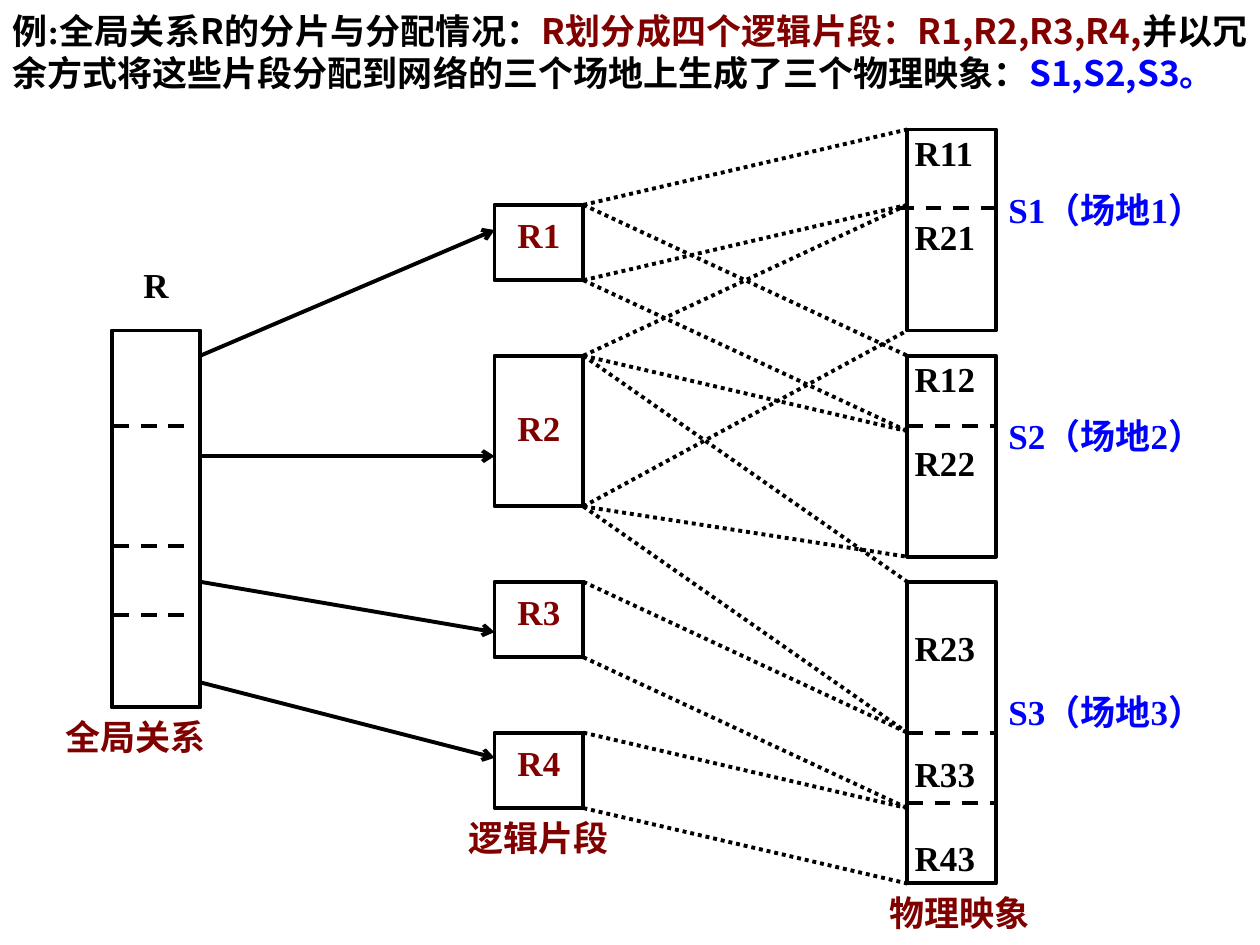
from pptx import Presentation
from pptx.dml.color import RGBColor
from pptx.enum.dml import MSO_LINE
from pptx.enum.shapes import MSO_CONNECTOR, MSO_SHAPE
from pptx.enum.text import MSO_ANCHOR, PP_ALIGN
from pptx.oxml.ns import qn
from pptx.util import Cm, Pt
from lxml.etree import SubElement

SERIF, SANS = "Times New Roman", "Noto Sans CJK SC"
BLACK, RED, BLUE = "000000", "800000", "0000FF"
CENTER, JUSTIFY = PP_ALIGN.CENTER, PP_ALIGN.JUSTIFY
LINE_HEIGHT = 24
COLUMN_WIDTH = 1.79
RELATION_X, FRAGMENT_X, SITE_X = 2.25, 9.97, 18.29


def row_y(row):
    """Height in cm of a row on the 30-row diagram grid."""
    return 2.61 + row * 15.2 / 30


def add_span(para, text, color, font_name=SERIF):
    span = para.add_run()
    span.text = text
    formats = {"size": Pt(20), "bold": True, "name": font_name}
    for name, value in formats.items():
        setattr(span.font, name, value)
    span.font.color.rgb = RGBColor.from_string(color)
    east_asian = SubElement(span.font._element, qn("a:ea"))
    east_asian.set("typeface", SANS)


deck = Presentation()
deck.slide_width, deck.slide_height = Cm(25.4), Cm(19.05)
page = deck.slides.add_slide(deck.slide_layouts[6])

# Heading
heading = page.shapes.add_textbox(0, 0, Cm(25.4), Cm(2.8))
heading.text_frame.word_wrap = True
heading.text_frame.margin_top = Cm(0.2)
para = heading.text_frame.paragraphs[0]
para.alignment = JUSTIFY
para.line_spacing = Pt(LINE_HEIGHT)
for text, color, font_name in [
    ("例:全局关系", BLACK, SERIF),
    ("R", BLACK, SANS),
    ("的分片与分配情况：", BLACK, SERIF),
    ("R", RED, SANS),
    ("划分成四个逻辑片段：", RED, SERIF),
    ("R1,R2,R3,R4,", RED, SANS),
    ("并以冗余方式将这些片段分配到网络的三个场地上生成了三个物理映象：", BLACK, SERIF),
    ("S1,S2,S3", BLUE, SANS),
    ("。", BLUE, SERIF),
]:
    add_span(para, text, color, font_name)

# Outlined boxes: left, row, rows, side margin, top margin, alignment,
# colour, texts with the number of free lines above each
boxes = [
    (RELATION_X, 8, 15, 0.25, 0.17, CENTER, BLACK, []),
    (FRAGMENT_X, 3, 3, 0.25, 0.17, CENTER, RED, [("R1", 0)]),
    (FRAGMENT_X, 9, 6, 0.25, 1.02, CENTER, RED, [("R2", 0)]),
    (FRAGMENT_X, 18, 3, 0.25, 0.17, CENTER, RED, [("R3", 0)]),
    (FRAGMENT_X, 24, 3, 0.25, 0.17, CENTER, RED, [("R4", 0)]),
    (SITE_X, 0, 8, 0.15, 0.04, JUSTIFY, BLACK, [("R11", 0), ("R21", 1)]),
    (SITE_X, 9, 8, 0.15, 0.04, JUSTIFY, BLACK, [("R12", 0), ("R22", 1)]),
    (SITE_X, 18, 12, 0.15, 0.89, JUSTIFY, BLACK,
     [("R23", 0), ("R33", 2), ("R43", 1)]),
]
for left, row, rows, side, top, alignment, color, texts in boxes:
    box = page.shapes.add_shape(
        MSO_SHAPE.RECTANGLE, Cm(left), Cm(row_y(row)),
        Cm(COLUMN_WIDTH), Cm(row_y(row + rows) - row_y(row)))
    box.shadow.inherit = False
    box.fill.background()
    box.line.color.rgb = RGBColor.from_string(BLACK)
    box.line.width = Pt(2.25)
    frame = box.text_frame
    formats = {"word_wrap": True, "vertical_anchor": MSO_ANCHOR.TOP,
               "margin_left": Cm(side), "margin_right": Cm(side),
               "margin_top": Cm(top), "margin_bottom": 0}
    for name, value in formats.items():
        setattr(frame, name, value)
    for index, (text, free_lines) in enumerate(texts):
        para = frame.add_paragraph() if index else frame.paragraphs[0]
        para.alignment = alignment
        para.line_spacing = Pt(LINE_HEIGHT)
        if free_lines:
            para.space_before = Pt(free_lines * LINE_HEIGHT)
        add_span(para, text, color)

# Free labels: left, row, width, alignment, colour, text
labels = [
    (RELATION_X, 5, COLUMN_WIDTH, CENTER, BLACK, "R"),
    (20.08, 2, 5.32, JUSTIFY, BLUE, "S1（场地1）"),
    (20.08, 11, 5.32, JUSTIFY, BLUE, "S2（场地2）"),
    (20.08, 22, 5.32, JUSTIFY, BLUE, "S3（场地3）"),
    (1.07, 23, 4.17, JUSTIFY, RED, "全局关系"),
    (8.77, 27, 4.17, CENTER, RED, "逻辑片段"),
    (17.68, 30, 4.17, JUSTIFY, RED, "物理映象"),
]
for left, row, width, alignment, color, text in labels:
    label = page.shapes.add_textbox(Cm(left), Cm(row_y(row)), Cm(width), Cm(1.52))
    label.text_frame.word_wrap = True
    label.text_frame.margin_top = Cm(0.17)
    para = label.text_frame.paragraphs[0]
    para.alignment = alignment
    para.line_spacing = Pt(LINE_HEIGHT)
    add_span(para, text, color)

# Lines: start x, start y, end x, end y, dash style
arrow_rows = [(9, 4), (13, 13), (18, 20), (22, 25)]
mapping_rows = [
    (3, 0), (6, 3), (3, 9), (6, 12),
    (9, 3), (15, 8), (9, 12), (15, 17), (9, 18), (15, 24),
    (18, 24), (21, 27), (24, 27), (27, 30),
]
relation_right = RELATION_X + COLUMN_WIDTH
fragment_right = FRAGMENT_X + COLUMN_WIDTH
lines = [(relation_right, row_y(start), FRAGMENT_X, row_y(end), None)
         for start, end in arrow_rows]
lines += [(fragment_right, row_y(start), SITE_X, row_y(end), MSO_LINE.ROUND_DOT)
          for start, end in mapping_rows]
lines += [(2.29, y, 3.91, y, MSO_LINE.DASH) for y in (8.59, 11, 12.4)]
lines += [(left, y, 20.09, y, MSO_LINE.DASH)
          for left, y in [(18.11, 4.19), (SITE_X, 8.59),
                          (SITE_X, 14.78), (SITE_X, 16.18)]]
for start_x, start_y, end_x, end_y, dash in lines:
    line = page.shapes.add_connector(
        MSO_CONNECTOR.STRAIGHT, Cm(start_x), Cm(start_y), Cm(end_x), Cm(end_y))
    line.line.color.rgb = RGBColor.from_string(BLACK)
    line.line.width = Pt(2.25)
    if dash is None:
        outline = line.line._get_or_add_ln()
        SubElement(outline, qn("a:tailEnd")).set("type", "arrow")
    else:
        line.line.dash_style = dash
    SubElement(line._element.spPr, qn("a:effectLst"))

deck.save("out.pptx")
